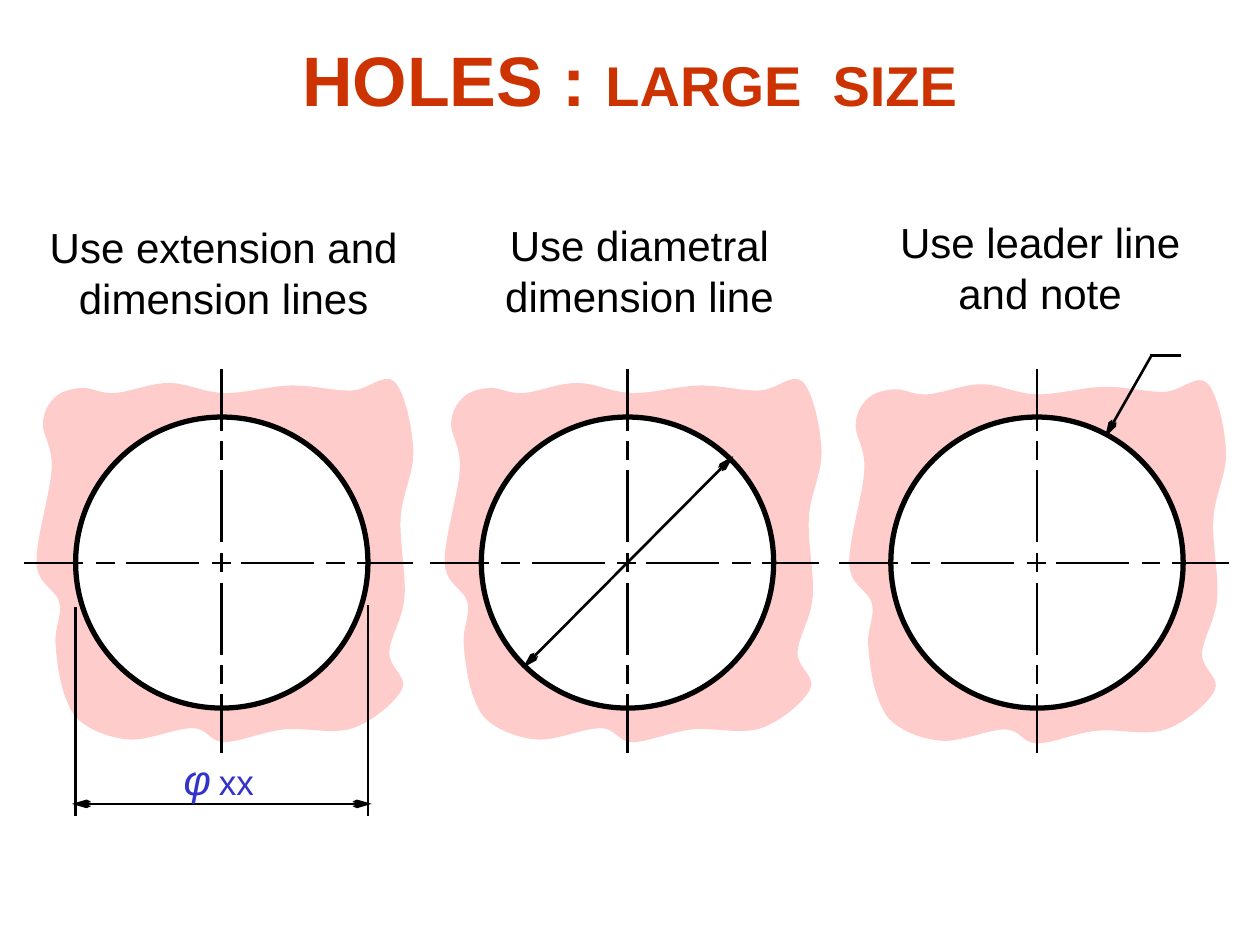
from dataclasses import dataclass

import pptx
import pptx.dml.color
import pptx.enum.shapes
import pptx.enum.text
import pptx.oxml
import pptx.oxml.ns
import pptx.util

PX = 9144
CENTER_Y = 447
PATCH = [
    (16, 20), (37, 13), (63, 17), (106, 9), (150, 17), (203, 11), (251, 15),
    (285, 8), (300, 62), (290, 116), (293, 179), (281, 223), (291, 252),
    (252, 283), (197, 284), (150, 294), (125, 283), (76, 292), (39, 280),
    (23, 256), (16, 215), (19, 183), (1, 152), (13, 77), (6, 41),
]
ACROSS = [(-157, -110), (-100, -85), (-76, -18), (-8, 7), (15, 73), (83, 98), (107, 152)]
DOWN = [(-154, -105), (-97, -82), (-74, -17), (-8, 7), (16, 73), (81, 96), (104, 151)]


@dataclass(frozen=True)
class Theme:
    font: str = "Arial"
    title: str = "CC3300"
    ink: str = "000000"
    note: str = "3333CC"
    material: str = "FFCCCC"
    paper: str = "FFFFFF"
    title_size: int = 40
    subtitle_size: int = 32
    body_size: int = 24
    value_size: int = 20
    gap_size: int = 16
    body_leading: int = 29
    outline: float = 3
    thin: float = 1.5


def px(value):
    return pptx.util.Emu(round(value * PX))


def color(value):
    return pptx.dml.color.RGBColor.from_string(value)


def smooth_closed(points):
    count = len(points)
    for index in range(count):
        before, start, end, after = (points[(index + k) % count] for k in (-1, 0, 1, 2))
        leave = tuple(s + (e - b) / 6 for b, s, e in zip(before, start, end))
        arrive = tuple(e - (a - s) / 6 for s, e, a in zip(start, end, after))
        yield leave, arrive, end


class Drawing:
    def __init__(self, deck, theme):
        self.theme = theme
        self.page = deck.slides.add_slide(deck.slide_layouts[5])
        self.shapes = self.page.shapes

    def start_group(self):
        self.shapes = self.page.shapes.add_group_shape().shapes

    def end_group(self):
        self.shapes = self.page.shapes

    def format_text(self, paragraph, size, tint, align, bold=False):
        paragraph.alignment = align
        font = paragraph.font
        font.name, font.size, font.bold = self.theme.font, pptx.util.Pt(size), bold
        font.color.rgb = color(tint)

    def title(self, main, detail):
        box = self.page.shapes.title
        box.left, box.top, box.width, box.height = map(px, (75, 0, 850, 125))
        frame = box.text_frame
        frame.auto_size = pptx.enum.text.MSO_AUTO_SIZE.NONE
        frame.vertical_anchor = pptx.enum.text.MSO_ANCHOR.MIDDLE
        paragraph = frame.paragraphs[0]
        self.format_text(paragraph, self.theme.title_size, self.theme.title,
                         pptx.enum.text.PP_ALIGN.CENTER, bold=True)
        paragraph.add_run().text = main
        span = paragraph.add_run()
        span.text = detail
        span.font.size = pptx.util.Pt(self.theme.subtitle_size)

    def caption(self, left, top, text):
        box = self.shapes.add_textbox(*map(px, (left, top, 297, 90)))
        box.text_frame.word_wrap = True
        paragraph = box.text_frame.paragraphs[0]
        paragraph.line_spacing = pptx.util.Pt(self.theme.body_leading)
        paragraph.add_run().text = text
        self.format_text(paragraph, self.theme.body_size, self.theme.ink,
                         pptx.enum.text.PP_ALIGN.CENTER)

    def diameter_value(self, left, top, value):
        box = self.shapes.add_textbox(*map(px, (left, top, 76, 50)))
        box.text_frame.word_wrap = False
        paragraph = box.text_frame.paragraphs[0]
        self.format_text(paragraph, self.theme.body_size, self.theme.note,
                         pptx.enum.text.PP_ALIGN.LEFT)
        for text, size, italic in (("φ", self.theme.body_size, True),
                                   (" ", self.theme.gap_size, True),
                                   (value, self.theme.value_size, False)):
            span = paragraph.add_run()
            span.text = text
            span.font.size = pptx.util.Pt(size)
            span.font.italic = italic

    def line(self, start, end, arrows=()):
        line = self.shapes.add_connector(
            pptx.enum.shapes.MSO_CONNECTOR.STRAIGHT, *map(px, (*start, *end)))
        line.line.color.rgb = color(self.theme.ink)
        line.line.width = pptx.util.Pt(self.theme.thin)
        stroke = line.line._get_or_add_ln()
        for side in arrows:
            arrow = pptx.oxml.parse_xml(
                f'<a:{side} {pptx.oxml.ns.nsdecls("a")} type="arrow" w="sm" len="lg"/>')
            stroke.append(arrow)
        line._element.spPr.append(
            pptx.oxml.parse_xml(f'<a:effectLst {pptx.oxml.ns.nsdecls("a")}/>'))

    def patch(self, left, top):
        points = [(px(left + x), px(top + y)) for x, y in PATCH]
        builder = self.shapes.build_freeform(*points[0])
        builder.add_line_segments(points[1:], close=True)
        shape = builder.convert_to_shape()
        self.curve_outline(shape, points)
        shape.shadow.inherit = False
        shape.fill.solid()
        shape.fill.fore_color.rgb = color(self.theme.material)
        shape.line.fill.background()

    def curve_outline(self, shape, points):
        left, top = (min(values) for values in zip(*points))
        for segment in shape._element.xpath(".//a:lnTo"):
            segment.getparent().remove(segment)
        closing = shape._element.xpath(".//a:close")[0]
        for segment in smooth_closed(points):
            marks = "".join(f'<a:pt x="{round(x - left)}" y="{round(y - top)}"/>'
                            for x, y in segment)
            closing.addprevious(pptx.oxml.parse_xml(
                f'<a:cubicBezTo {pptx.oxml.ns.nsdecls("a")}>{marks}</a:cubicBezTo>'))

    def circle(self, center):
        shape = self.shapes.add_shape(
            pptx.enum.shapes.MSO_SHAPE.OVAL,
            *map(px, (center - 116, CENTER_Y - 116, 232, 231)))
        shape.shadow.inherit = False
        shape.fill.solid()
        shape.fill.fore_color.rgb = color(self.theme.paper)
        shape.line.color.rgb = color(self.theme.ink)
        shape.line.width = pptx.util.Pt(self.theme.outline)

    def hole(self, center, patch_left, patch_top):
        self.start_group()
        self.patch(patch_left, patch_top)
        self.circle(center)
        for start, end in ACROSS:
            self.line((center + start, CENTER_Y), (center + end, CENTER_Y))
        for start, end in DOWN:
            self.line((center, CENTER_Y + start), (center, CENTER_Y + end))
        self.end_group()


def main():
    deck = pptx.Presentation()
    deck.slide_width, deck.slide_height = px(1000), px(750)
    drawing = Drawing(deck, Theme())
    both_ends = ("headEnd", "tailEnd")

    drawing.title("HOLES : ", "LARGE  SIZE")
    for center, patch_left, patch_top in ((498, 352, 295), (176, 28, 295), (823, 673, 296)):
        drawing.hole(center, patch_left, patch_top)

    drawing.line((415, 530), (582, 362), both_ends)

    drawing.start_group()
    drawing.line((877, 347), (914, 282), ("headEnd",))
    drawing.line((913, 282), (937, 282))
    drawing.end_group()

    drawing.start_group()
    drawing.line((60, 482), (60, 648))
    drawing.line((292, 480), (292, 648))
    drawing.line((57, 638), (295, 638), both_ends)
    drawing.diameter_value(136, 593, "xx")
    drawing.end_group()

    drawing.caption(29, 171, "Use extension and dimension lines")
    drawing.caption(359, 169, "Use diametral dimension line")
    drawing.caption(677, 167, "Use leader line and note")
    deck.save("out.pptx")


if __name__ == "__main__":
    main()
